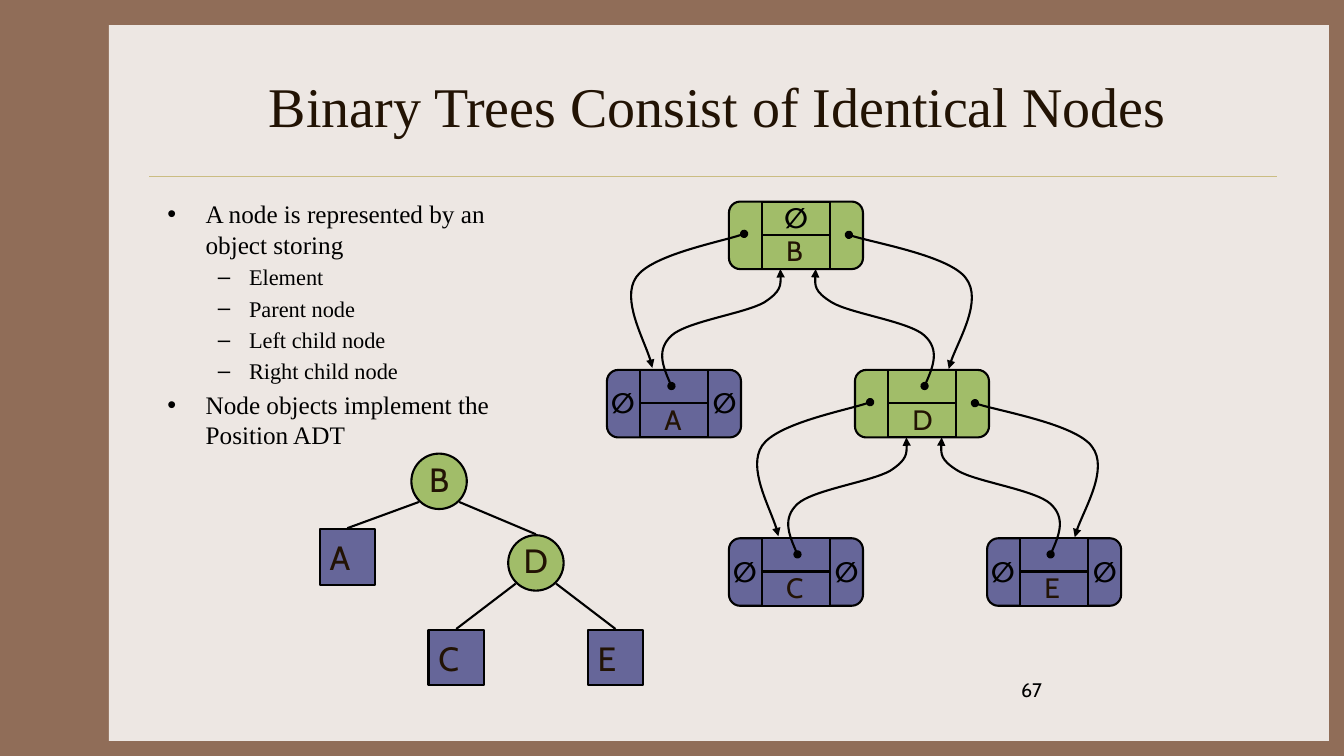
import dataclasses

import lxml.etree
import pptx
import pptx.dml.color
import pptx.enum.shapes
import pptx.enum.text
import pptx.oxml.ns
import pptx.util

Inches = pptx.util.Inches
Pt = pptx.util.Pt
qn = pptx.oxml.ns.qn
SHAPE = pptx.enum.shapes.MSO_SHAPE
ALIGN = pptx.enum.text.PP_ALIGN
ANCHOR = pptx.enum.text.MSO_ANCHOR


@dataclasses.dataclass(frozen=True)
class Theme:
    """Colours, fonts and sizes of the slide."""
    frame: str = "906D58"
    paper: str = "EDE7E3"
    rule: str = "CBBD83"
    title: str = "221304"
    ink: str = "000000"
    inner: str = "A1BD69"
    leaf: str = "666699"
    serif: str = "Times New Roman"
    sans: str = "Cabin"
    title_pt: int = 40
    body_pts: tuple = (18, 16)
    tree_pt: int = 24
    node_pt: int = 20
    number_pt: int = 14
    line_pt: float = 1.5


THEME = Theme()
NULL = "∅"
CHILD_LINKS = {
    "left": [(0.15, 0.32), (-0.03, 0.39), (-0.77, 0.53), (-0.92, 0.75),
             (-1.07, 0.97), (-0.79, 1.46), (-0.76, 1.65)],
    "right": [(1.19, 0.33), (1.38, 0.4), (2.19, 0.54), (2.35, 0.76),
              (2.52, 0.98), (2.22, 1.47), (2.18, 1.66)],
}
PARENT_LINKS = {
    "left": [(-0.57, 1.83), (-0.65, 1.65), (-0.72, 1.47), (-0.57, 1.33), (-0.42, 1.19),
             (0.16, 1.11), (0.35, 1), (0.52, 0.89), (0.52, 0.78), (0.51, 0.67)],
    "right": [(1.94, 1.83), (2.02, 1.65), (2.09, 1.47), (1.94, 1.33), (1.79, 1.19),
              (1.2, 1.11), (1.02, 1), (0.84, 0.89), (0.85, 0.78), (0.86, 0.67)],
}


def rgb(value):
    """Return a colour object for a hex string."""
    return pptx.dml.color.RGBColor.from_string(value)


def set_font(p, size, name, color, bold=False):
    """Format every run of a paragraph."""
    for r in p.runs:
        r.font.size = Pt(size)
        r.font.name = name
        r.font.bold = bold
        r.font.color.rgb = rgb(color)


def place(sp, left, top, width, height):
    """Move and size a shape in inches."""
    sp.left, sp.top, sp.width, sp.height = map(Inches, (left, top, width, height))


def add_box(shapes, kind, left, top, width, height, fill):
    """Add an outlined, filled preset shape."""
    sp = shapes.add_shape(kind, *map(Inches, (left, top, width, height)))
    sp.shadow.inherit = False
    sp.fill.solid()
    sp.fill.fore_color.rgb = rgb(fill)
    sp.line.color.rgb = rgb(THEME.ink)
    sp.line.width = Pt(THEME.line_pt)
    return sp


def add_line(shapes, x1, y1, x2, y2, color=THEME.ink, width=THEME.line_pt):
    """Add a straight line without a shadow."""
    cxn = shapes.add_connector(pptx.enum.shapes.MSO_CONNECTOR.STRAIGHT,
                               *map(Inches, (x1, y1, x2, y2)))
    cxn.line.color.rgb = rgb(color)
    cxn.line.width = Pt(width)
    lxml.etree.SubElement(cxn._element.spPr, qn("a:effectLst"))


def add_label(shapes, text, left, top, width, size, color, bold=False):
    """Add a one-line text box that fits its text."""
    sp = shapes.add_textbox(*map(Inches, (left, top, width, 0.43)))
    tf = sp.text_frame
    tf.text = text
    tf.word_wrap = False
    tf.auto_size = pptx.enum.text.MSO_AUTO_SIZE.SHAPE_TO_FIT_TEXT
    set_font(tf.paragraphs[0], size, THEME.sans, color, bold)


def add_link(shapes, left, top, offsets):
    """Draw a curved pointer from a dot to an arrowhead."""
    points = [(Inches(left + dx), Inches(top + dy)) for dx, dy in offsets]
    builder = shapes.build_freeform(*points[0], scale=1.0)
    builder.add_line_segments(points[1:], close=False)
    sp = builder.convert_to_shape()
    sp.shadow.inherit = False
    sp.fill.background()
    sp.line.color.rgb = rgb(THEME.ink)
    sp.line.width = Pt(THEME.line_pt)
    ln = sp.line._get_or_add_ln()
    for tag, kind in (("a:headEnd", "oval"), ("a:tailEnd", "triangle")):
        lxml.etree.SubElement(ln, qn(tag), type=kind)
    path = sp._element.spPr.find(".//" + qn("a:path"))
    segments = path.findall(qn("a:lnTo"))
    for i in range(0, len(segments), 3):
        curve = lxml.etree.SubElement(path, qn("a:cubicBezTo"))
        for segment in segments[i:i + 3]:
            curve.append(segment[0])
            path.remove(segment)


def add_backdrop(slide, left, top, width, height):
    """Place the paper panel and the rule behind the slide content."""
    slide.background.fill.solid()
    slide.background.fill.fore_color.rgb = rgb(THEME.frame)
    panel = add_box(slide.shapes, SHAPE.RECTANGLE, left, top, width, height, THEME.paper)
    panel.line.fill.background()
    slide.shapes._spTree.insert(2, panel._element)
    add_line(slide.shapes, left + 0.4, top + 1.5, left + width - 0.51, top + 1.5,
             THEME.rule, 0.25)


def add_title(slide, text, left, top, width, height):
    """Fill the title placeholder."""
    sp = slide.shapes.title
    place(sp, left, top, width, height)
    tf = sp.text_frame
    tf.text = text
    tf.vertical_anchor = ANCHOR.MIDDLE
    tf.paragraphs[0].alignment = ALIGN.CENTER
    set_font(tf.paragraphs[0], THEME.title_pt, THEME.serif, THEME.title)


def add_body(slide, items, left, top, width, height):
    """Fill the body placeholder with a two-level bullet list."""
    sp = slide.placeholders[1]
    place(sp, left, top, width, height)
    tf = sp.text_frame
    for i, (level, text) in enumerate(items):
        p = tf.paragraphs[0] if i == 0 else tf.add_paragraph()
        p.text = text
        p.level = level
        margin, hanging, bullet = ((0.38, -0.38, "•"), (0.81, -0.31, "–"))[level]
        pPr = p._p.get_or_add_pPr()
        pPr.set("marL", str(Inches(margin)))
        pPr.set("indent", str(Inches(hanging)))
        lxml.etree.SubElement(pPr, qn("a:buChar"), char=bullet)
        set_font(p, THEME.body_pts[level], THEME.serif, THEME.ink)
    tf.paragraphs[0].space_before = Pt(0)


def add_tree(slide, left, top):
    """Draw the abstract tree with round inner nodes and square leaves."""
    size = 0.55
    spots = {"B": (0.91, 0), "D": (1.87, 0.81), "A": (0, 0.75), "C": (1.08, 1.75), "E": (2.66, 1.75)}
    for name, (dx, dy) in spots.items():
        inner = name in "BD"
        sp = add_box(slide.shapes, SHAPE.OVAL if inner else SHAPE.RECTANGLE, left + dx, top + dy,
                     size, size, THEME.inner if inner else THEME.leaf)
        tf = sp.text_frame
        tf.text = name
        tf.word_wrap = not inner
        tf.vertical_anchor = ANCHOR.MIDDLE
        if inner:
            tf.margin_left = tf.margin_right = tf.margin_top = 0
        p = tf.paragraphs[0]
        p.alignment = ALIGN.CENTER if inner else ALIGN.LEFT
        set_font(p, THEME.tree_pt, THEME.sans, THEME.title)
    for parent, child, side in (("B", "A", -1), ("B", "D", 1), ("D", "C", -1), ("D", "E", 1)):
        (px, py), (cx, cy) = spots[parent], spots[child]
        add_line(slide.shapes, left + cx + size / 2, top + cy - 0.01,
                 left + px + size / 2 + side * 0.2, top + py + 0.48)


def add_node(slide, name, left, top, fill):
    """Draw one linked node with its parent, element and child cells."""
    shapes = slide.shapes.add_group_shape().shapes
    sp = add_box(shapes, SHAPE.ROUNDED_RECTANGLE, left, top, 1.33, 0.67, fill)
    sp.adjustments[0] = 0.167
    add_box(shapes, SHAPE.RECTANGLE, left + 0.33, top, 0.67, 0.67, fill)
    add_line(shapes, left + 0.33, top + 0.33, left + 1, top + 0.33)
    add_label(shapes, name, left + 0.47, top + 0.27, 0.37, THEME.node_pt, THEME.title)
    nulls = [(0.45, -0.06)] if name == "B" else []
    if fill == THEME.leaf:
        nulls += [(-0.06, 0.11), (0.95, 0.11)]
    for dx, dy in nulls:
        add_label(shapes, NULL, left + dx, top + dy, 0.43, THEME.node_pt, THEME.ink, True)


def add_linked_structure(slide, left, top):
    """Draw the linked nodes and the pointers between them."""
    step = 1.67
    spots = {"B": (1.21, 0), "A": (0, step), "D": (2.46, step),
             "C": (1.21, 2 * step), "E": (3.77, 2 * step)}
    for name, (dx, dy) in spots.items():
        add_node(slide, name, left + dx, top + dy, THEME.inner if name in "BD" else THEME.leaf)
    for parent in "BD":
        dx, dy = spots[parent]
        for links in (PARENT_LINKS, CHILD_LINKS):
            for offsets in links.values():
                add_link(slide.shapes, left + dx, top + dy, offsets)


def main():
    """Build and save the slide."""
    prs = pptx.Presentation()
    prs.slide_width, prs.slide_height = Inches(13.33), Inches(7.5)
    slide = prs.slides.add_slide(prs.slide_layouts[1])
    add_backdrop(slide, 1.08, 0.25, 12.1, 7.1)
    add_title(slide, "Binary Trees Consist of Identical Nodes", 1.56, 0.42, 11.11, 1.25)
    items = [(0, "A node is represented by an object storing"), (1, "Element"), (1, "Parent node"),
             (1, "Left child node"), (1, "Right child node"),
             (0, "Node objects implement the Position ADT")]
    add_body(slide, items, 1.56, 1.92, 4.01, 4.5)
    add_tree(slide, 3.17, 4.5)
    add_linked_structure(slide, 6.02, 2)
    add_label(slide.shapes, "67", 10.03, 6.68, 0.43, THEME.number_pt, THEME.ink)
    prs.save("out.pptx")


if __name__ == "__main__":
    main()
